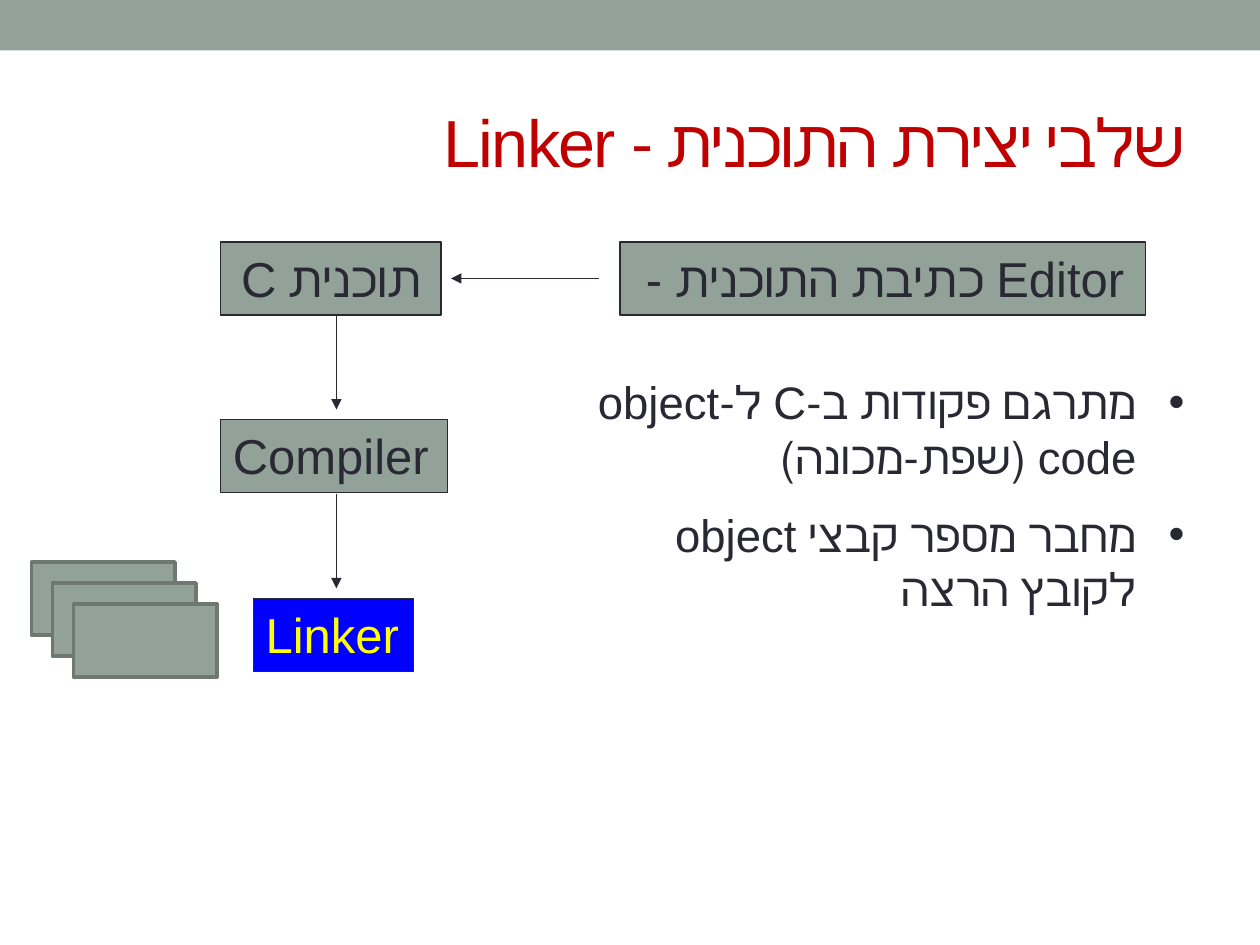
from pptx import Presentation
from pptx import util as u
from pptx.dml.color import RGBColor
from pptx.enum import shapes, text
from pptx.oxml.ns import qn
from lxml import etree

SAGE, DARK = "93A299", "292934"
Inches, Pt = u.Inches, u.Pt


def color(value):
    return RGBColor.from_string(value)


def add_box(left, top, width, height, fill, line=None, weight=0.75):
    box = page.shapes.add_shape(shapes.MSO_SHAPE.RECTANGLE, Inches(left), Inches(top),
                                Inches(width), Inches(height))
    box.shadow.inherit = False
    box.fill.solid()
    box.fill.fore_color.rgb = color(fill)
    if line:
        box.line.color.rgb = color(line)
        box.line.width = Pt(weight)
    else:
        box.line.fill.background()
    return box


deck = Presentation()
deck.slide_width, deck.slide_height = Inches(10), Inches(7.5)
page = deck.slides.add_slide(deck.slide_layouts[6])

# Top band
add_box(0, 0, 10, 0.4, SAGE)

# Title
title = page.shapes.add_textbox(Inches(0.5), Inches(0.58), Inches(9), Inches(1.08))
title.text_frame.word_wrap = True
title.text_frame.vertical_anchor = text.MSO_ANCHOR.MIDDLE
para = title.text_frame.paragraphs[0]
para.alignment = text.PP_ALIGN.RIGHT
para._p.get_or_add_pPr().set("rtl", "1")
span = para.add_run()
span.text = "שלבי יצירת התוכנית - Linker"
span.font.name, span.font.size = "Arial", Pt(38)
span.font.color.rgb = color("C00000")
span._r.get_or_add_rPr().set("spc", "-100")

# Build stages: left, top, width, fill, text colour, right to left, spans with sizes
stages = [
    (2.01, 4.75, 1.27, "0000FF", "FFFF00", False, [("Linker", 28)]),
    (4.92, 1.92, 4.17, SAGE, DARK, False, [(" - כתיבת התוכנית Editor", 28)]),
    (1.75, 1.92, 1.75, SAGE, DARK, True, [(" ", 16), ("תוכנית C", 28)]),
    (1.75, 3.33, 1.8, SAGE, DARK, False, [("Compiler", 28)]),
]
for left, top, width, fill, ink, rtl, spans in stages:
    box = add_box(left, top, width, 0.58, fill, DARK)
    box.text_frame.word_wrap = True
    box.text_frame.vertical_anchor = text.MSO_ANCHOR.TOP
    para = box.text_frame.paragraphs[0]
    para.alignment = text.PP_ALIGN.RIGHT if rtl else text.PP_ALIGN.LEFT
    if rtl:
        para._p.get_or_add_pPr().set("rtl", "1")
    para.font.name = "Arial"
    para.font.color.rgb = color(ink)
    for words, size in spans:
        span = para.add_run()
        span.text = words
        span.font.size = Pt(size)

# Arrows between stages
for x1, y1, x2, y2 in [(4.75, 2.21, 3.58, 2.21), (2.67, 2.5, 2.67, 3.25),
                       (2.67, 3.92, 2.67, 4.67)]:
    arrow = page.shapes.add_connector(shapes.MSO_CONNECTOR.STRAIGHT, Inches(x1), Inches(y1),
                                      Inches(x2), Inches(y2))
    arrow.line.color.rgb = color(DARK)
    arrow.line.width = Pt(0.75)
    etree.SubElement(arrow.line._get_or_add_ln(), qn("a:tailEnd"), type="triangle")
    etree.SubElement(arrow._element.spPr, qn("a:effectLst"))

# Explanations
notes = page.shapes.add_textbox(Inches(4.33), Inches(2.92), Inches(5.17), Inches(3.7))
frame = notes.text_frame
frame.word_wrap = True
bullets = ["מתרגם פקודות ב-C ל-object code (שפת-מכונה)",
           "מחבר מספר קבצי object לקובץ הרצה"]
for index, words in enumerate(bullets):
    para = frame.add_paragraph() if index else frame.paragraphs[0]
    para.text = words
    para.alignment = text.PP_ALIGN.RIGHT
    if index:
        para.space_before = Pt(13.5)
    props = para._p.get_or_add_pPr()
    props.set("rtl", "1")
    props.set("marR", "0")
    props.set("marL", str(Inches(0.38)))
    props.set("indent", str(-Inches(0.38)))
    etree.SubElement(props, qn("a:buFont"), typeface="Arial")
    etree.SubElement(props, qn("a:buChar"), char="•")
    para.font.name, para.font.size = "Arial", Pt(26)
    para.font.color.rgb = color(DARK)

# Stack of object files
for step in range(3):
    add_box(0.25 + step / 6, 4.46 + step / 6, 1.14, 0.58, SAGE, "6D7871", 2.08)

deck.save("out.pptx")
